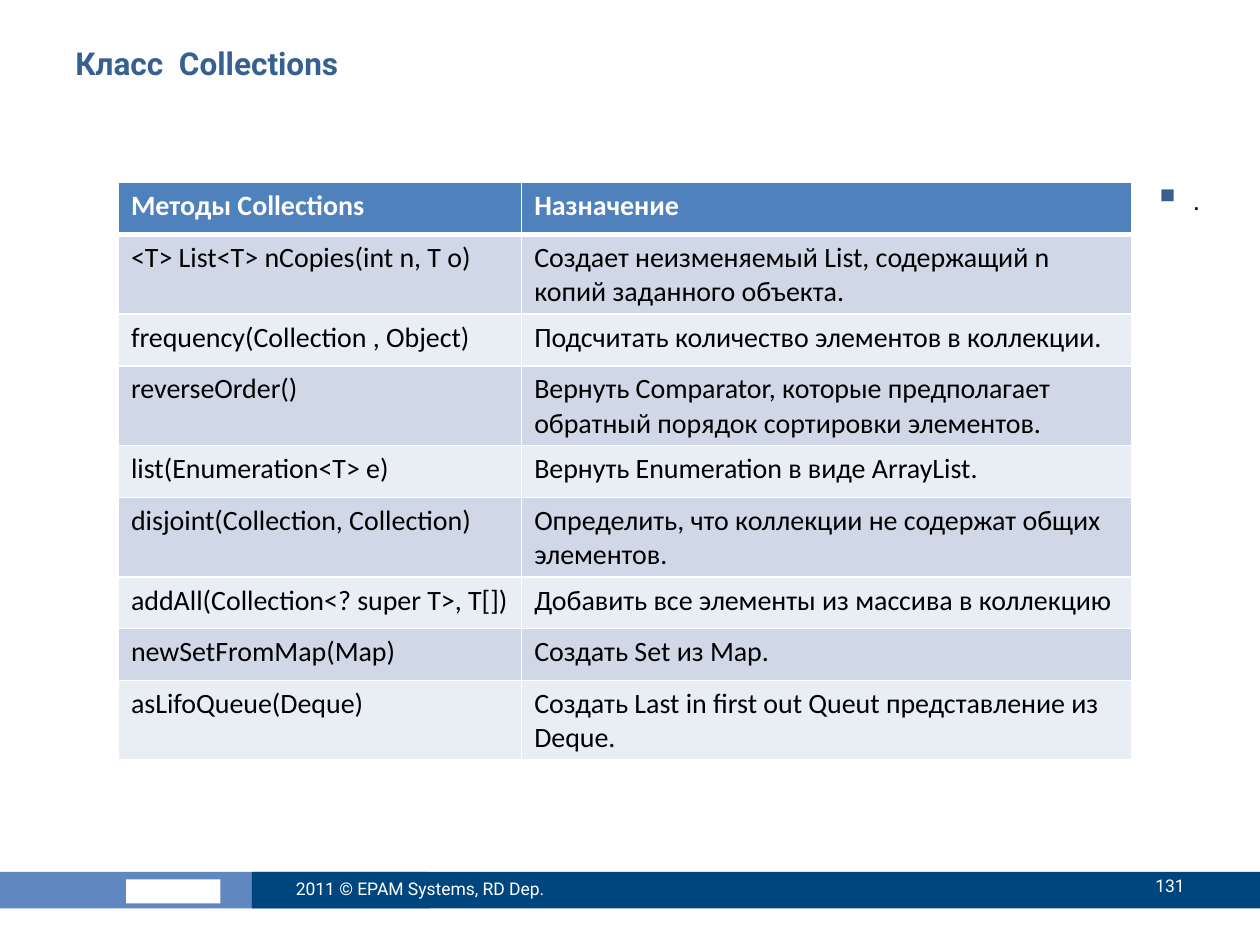
from lxml.etree import SubElement
from pptx import Presentation
from pptx.dml.color import RGBColor
from pptx.enum.shapes import MSO_SHAPE
from pptx.enum.text import MSO_ANCHOR, PP_ALIGN
from pptx.oxml.ns import qn
from pptx.util import Inches, Pt

WHITE, BLACK, TITLE_BLUE = "FFFFFF", "000000", "376092"
HEADER_FILL, BAND_FILLS = "4F81BD", ("D0D8E8", "E9EDF4")
COLUMN_WIDTHS = (3.2, 4.84)
ROW_HEIGHT = 0.41
METHODS = [
    ("Методы Collections", "Назначение"),
    ("<T> List<T> nCopies(int n, T o)",
     "Создает неизменяемый List, содержащий n копий заданного объекта."),
    ("frequency(Collection , Object)",
     "Подсчитать количество элементов в коллекции."),
    ("reverseOrder()",
     "Вернуть Comparator, которые предполагает обратный порядок сортировки элементов."),
    ("list(Enumeration<T> e)", "Вернуть Enumeration в виде ArrayList."),
    ("disjoint(Collection, Collection)",
     "Определить, что коллекции не содержат общих элементов."),
    ("addAll(Collection<? super T>, T[])",
     "Добавить все элементы из массива в коллекцию"),
    ("newSetFromMap(Map)", "Создать Sеt из Map."),
    ("asLifoQueue(Deque)",
     "Создать Last in first out Queut представление из Deque."),
]


def color(value):
    return RGBColor.from_string(value)


def format_font(font, font_color, **values):
    for name, value in values.items():
        setattr(font, name, value)
    font.color.rgb = color(font_color)


def add_rectangle(slide, box, fill):
    shape = slide.shapes.add_shape(MSO_SHAPE.RECTANGLE, *map(Inches, box))
    shape.shadow.inherit = False
    shape.fill.solid()
    shape.fill.fore_color.rgb = color(fill)
    shape.line.fill.background()


def add_text(slide, box, text, font_color, anchor=MSO_ANCHOR.TOP,
             align=PP_ALIGN.LEFT, bullet=None, **font_values):
    frame = slide.shapes.add_textbox(*map(Inches, box)).text_frame
    frame.word_wrap = True
    frame.vertical_anchor = anchor
    paragraph = frame.paragraphs[0]
    paragraph.text = text
    paragraph.alignment = align
    if bullet:
        add_bullet(paragraph, bullet)
    format_font(paragraph.runs[0].font, font_color, **font_values)


def add_bullet(paragraph, character):
    properties = paragraph._p.get_or_add_pPr()
    properties.set("marL", str(Inches(0.31)))
    properties.set("indent", str(Inches(-0.31)))
    bullet_color = SubElement(properties, qn("a:buClr"))
    SubElement(bullet_color, qn("a:srgbClr"), val=TITLE_BLUE)
    SubElement(properties, qn("a:buSzPct"), val="140000")
    SubElement(properties, qn("a:buChar"), char=character)


def add_borders(cell, widths):
    properties = cell._tc.get_or_add_tcPr()
    for side, width in widths.items():
        line = SubElement(properties, qn(f"a:ln{side}"), w=str(Pt(width)))
        fill = SubElement(line, qn("a:solidFill"))
        SubElement(fill, qn("a:srgbClr"), val=WHITE)


def fill_cell(cell, text, row):
    header = row == 0
    add_borders(cell, {"L": 1, "R": 1, "T": 3 if row == 1 else 1,
                       "B": 3 if header else 1})
    cell.fill.solid()
    cell.fill.fore_color.rgb = color(
        HEADER_FILL if header else BAND_FILLS[(row - 1) % 2])
    cell.text = text
    format_font(cell.text_frame.paragraphs[0].runs[0].font,
                WHITE if header else BLACK,
                name="Calibri", size=Pt(16), bold=header)


def add_methods_table(slide, left, top):
    table = slide.shapes.add_table(
        len(METHODS), len(COLUMN_WIDTHS), Inches(left), Inches(top),
        Inches(sum(COLUMN_WIDTHS)), Inches(ROW_HEIGHT * len(METHODS))).table
    for column, width in zip(table.columns, COLUMN_WIDTHS):
        column.width = Inches(width)
    for row, texts in enumerate(METHODS):
        table.rows[row].height = Inches(ROW_HEIGHT)
        for column, text in enumerate(texts):
            fill_cell(table.cell(row, column), text, row)


def add_footer(slide):
    add_rectangle(slide, (0, 6.92, 3.41, 0.29), "6087BF")
    add_rectangle(slide, (1, 6.98, 0.75, 0.19), WHITE)
    add_rectangle(slide, (2, 6.92, 8, 0.29), "00467E")
    style = {"anchor": MSO_ANCHOR.MIDDLE, "name": "Roboto", "size": Pt(10)}
    add_text(slide, (2.25, 6.85, 2.67, 0.4), "2011 © EPAM Systems, RD Dep.",
             WHITE, **style)
    add_text(slide, (8.42, 6.83, 1.08, 0.4), "131", WHITE,
             align=PP_ALIGN.RIGHT, **style)


def main():
    presentation = Presentation()
    presentation.slide_width = Inches(10)
    presentation.slide_height = Inches(7.5)
    slide = presentation.slides.add_slide(presentation.slide_layouts[6])
    add_footer(slide)
    add_text(slide, (0.5, 0.3, 9, 0.78), "Класс  Collections", TITLE_BLUE,
             name="Roboto", size=Pt(18), bold=True)
    add_methods_table(slide, 0.94, 1.45)
    add_text(slide, (9.06, 1.41, 0.94, 5.25), ".", BLACK, bullet="▪",
             name="Arial", size=Pt(15))
    presentation.save("out.pptx")


if __name__ == "__main__":
    main()
